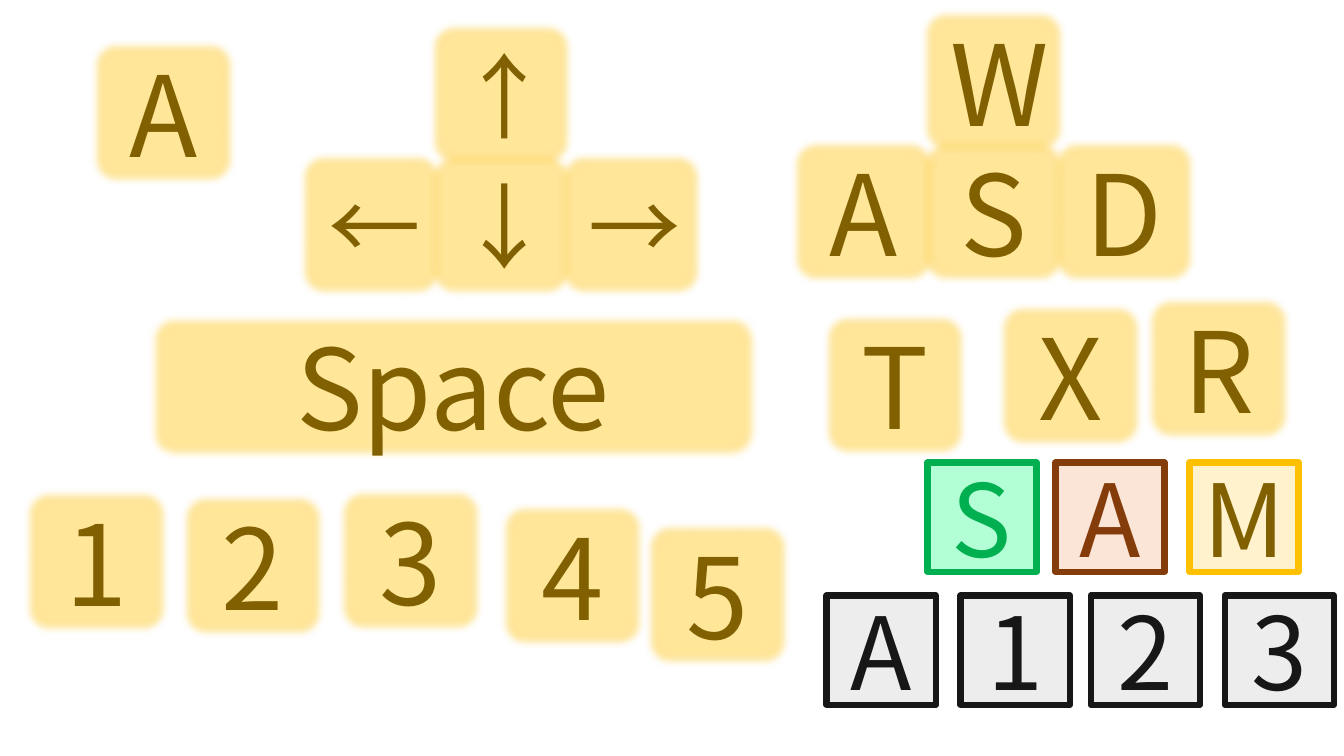
from dataclasses import dataclass

from lxml.etree import SubElement
from pptx import Presentation
from pptx.dml.color import RGBColor
from pptx.enum.shapes import MSO_SHAPE as Shape
from pptx.enum.text import MSO_ANCHOR as Anchor, PP_ALIGN as Align
from pptx.oxml.ns import qn
from pptx.util import Inches, Pt


@dataclass(frozen=True)
class Theme:
    font: str = "Noto Sans CJK JP"
    key_size: int = 80
    arrow_size: int = 66
    tile_size: int = 72
    tile_border: float = 4.5
    key_fill: str = "FFE699"
    key_ink: str = "806000"
    glow: str = "FFC000"
    glow_radius: int = 11
    glow_opacity: int = 40
    # Tile colours: fill, border, ink
    green: tuple = ("B3FFD5", "00B050", "00B050")
    brown: tuple = ("FBE5D6", "843C0B", "843C0B")
    gold: tuple = ("FFF2CC", "FFC000", "806000")
    grey: tuple = ("EDEDED", "181717", "181717")


class Keyboard:
    """Draws keys and tiles on a slide divided into square grid cells."""

    COLUMNS = 40
    KEY = 3.48    # key side, in cells
    PITCH = 3.87  # distance between keys of a cluster
    TILE = 3.25   # tile side

    def __init__(self, deck, theme):
        self.theme = theme
        self.slide = deck.slides.add_slide(deck.slide_layouts[6])
        self.cell = deck.slide_width / self.COLUMNS

    def box(self, kind, label, column, row, columns, rows, fill, ink, size):
        bounds = [round(n * self.cell) for n in (column, row, columns, rows)]
        box = self.slide.shapes.add_shape(kind, *bounds)
        box.shadow.inherit = False
        box.fill.solid()
        box.fill.fore_color.rgb = RGBColor.from_string(fill)
        frame = box.text_frame
        frame.word_wrap = True
        frame.vertical_anchor = Anchor.MIDDLE
        frame.text = label
        paragraph = frame.paragraphs[0]
        paragraph.alignment = Align.CENTER
        font = paragraph.runs[0].font
        font.name = self.theme.font
        font.size = Pt(size)
        font.color.rgb = RGBColor.from_string(ink)
        # East Asian face, used for the arrow signs
        SubElement(paragraph.runs[0]._r.rPr, qn("a:ea"), typeface=self.theme.font)
        return box

    def key(self, label, column, row, columns=KEY, size=None):
        theme = self.theme
        key = self.box(Shape.ROUNDED_RECTANGLE, label, column, row, columns,
                       self.KEY, theme.key_fill, theme.key_ink,
                       size or theme.key_size)
        key.line.fill.background()
        effects = key._element.spPr.find(qn("a:effectLst"))
        glow = SubElement(effects, qn("a:glow"), rad=str(Pt(theme.glow_radius)))
        colour = SubElement(glow, qn("a:srgbClr"), val=theme.glow)
        SubElement(colour, qn("a:alpha"), val=str(theme.glow_opacity * 1000))

    def cluster(self, labels, column, row, size=None):
        """Inverted T of keys: up, down, right, left."""
        steps = ((1, 0), (1, 1), (2, 1), (0, 1))
        for label, (across, down) in zip(labels, steps):
            self.key(label, column + across * self.PITCH,
                     row + down * self.PITCH, size=size)

    def tile(self, label, column, row, colours):
        fill, border, ink = colours
        tile = self.box(Shape.RECTANGLE, label, column, row, self.TILE,
                        self.TILE, fill, ink, self.theme.tile_size)
        tile.line.color.rgb = RGBColor.from_string(border)
        tile.line.width = Pt(self.theme.tile_border)


def main():
    deck = Presentation()
    deck.slide_width, deck.slide_height = Inches(13.33), Inches(7.5)
    theme = Theme()
    board = Keyboard(deck, theme)

    # Coloured letter tiles
    for label, column, colours in (("M", 35.4, theme.gold),
                                   ("A", 31.41, theme.brown),
                                   ("S", 27.6, theme.green)):
        board.tile(label, column, 13.77, colours)

    # Grey tiles
    for label, column in (("3", 36.45), ("2", 32.46), ("1", 28.59), ("A", 24.6)):
        board.tile(label, column, 17.73, theme.grey)

    # Single letter and space bar
    board.key("A", 3.12, 1.62)
    board.key("Space", 4.86, 9.75, columns=17.25)

    # Arrow keys
    board.cluster("↑↓→←", 9.3, 1.08, size=theme.arrow_size)

    # Command letters and digits, placed freely
    for label, column, row in (("X", 30.12, 9.45), ("T", 24.9, 9.72),
                               ("1", 1.14, 14.97), ("2", 5.79, 15.09),
                               ("3", 10.47, 14.94), ("4", 15.3, 15.39),
                               ("5", 19.62, 15.96), ("R", 34.53, 9.24)):
        board.key(label, column, row)

    # Movement letters
    board.cluster("WSDA", 23.97, 0.69)

    deck.save("out.pptx")


if __name__ == "__main__":
    main()
